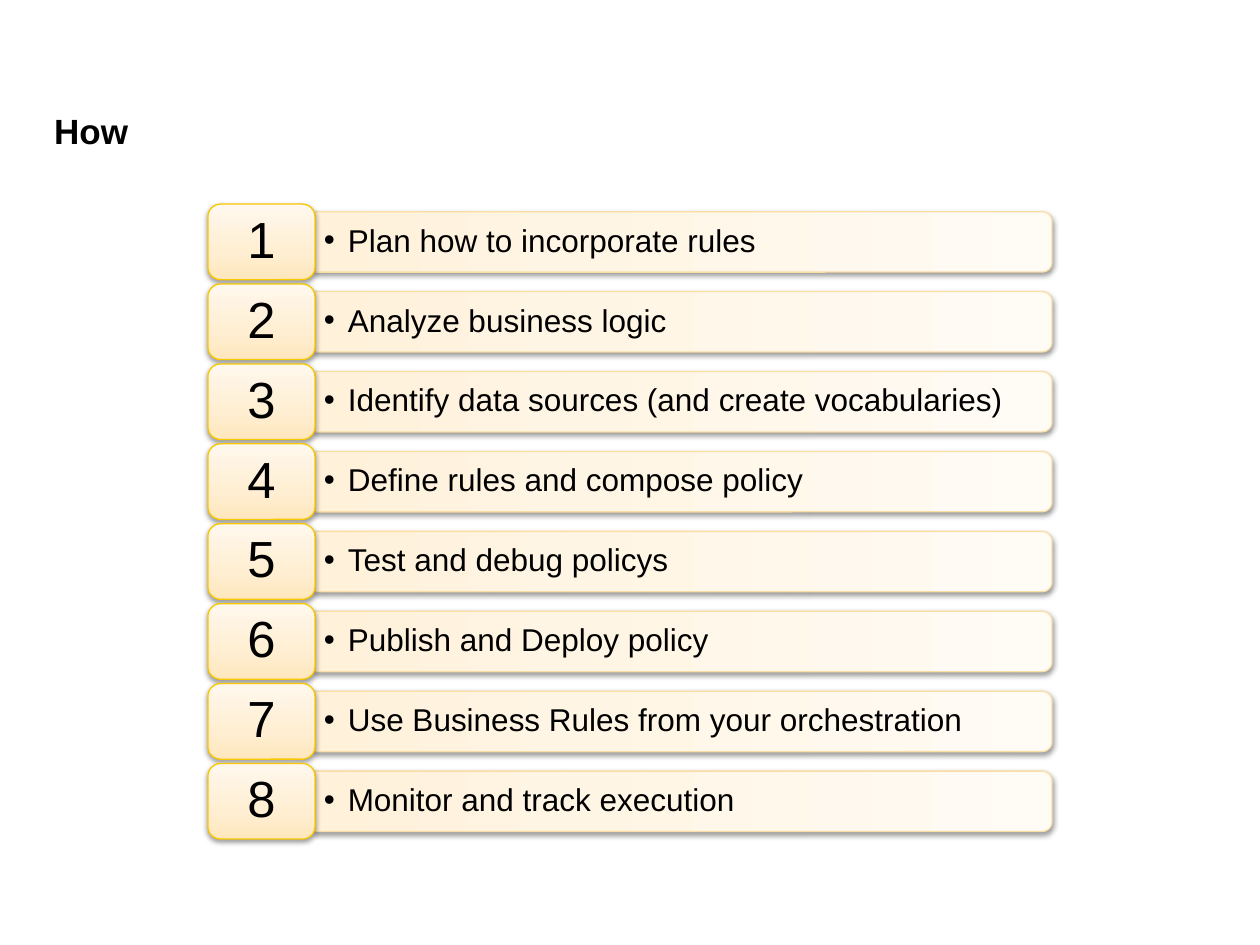
from dataclasses import dataclass

from lxml.etree import SubElement
from pptx import Presentation
from pptx.dml.color import RGBColor
from pptx.enum.shapes import MSO_SHAPE
from pptx.enum.text import MSO_ANCHOR, PP_ALIGN
from pptx.oxml import parse_xml
from pptx.oxml.ns import nsdecls, qn
from pptx.util import Inches, Pt

BLACK = RGBColor(0x00, 0x00, 0x00)
GOLD = RGBColor(0xF9, 0xC8, 0x00)
SAND = RGBColor(0xFB, 0xDE, 0xA4)
TILE_STOPS = (RGBColor(0xFF, 0xE7, 0xBD), RGBColor(0xFF, 0xEE, 0xD1), RGBColor(0xFF, 0xF8, 0xEE))
BAR_STOPS = (RGBColor(0xFF, 0xF1, 0xDA), RGBColor(0xFF, 0xF5, 0xE4), RGBColor(0xFF, 0xFB, 0xF5))
STOP_POSITIONS = (0, 35, 100)

STEPS = [
    "Plan how to incorporate rules",
    "Analyze business logic",
    "Identify data sources (and create vocabularies)",
    "Define rules and compose policy",
    "Test and debug policys",
    "Publish and Deploy policy\t",
    "Use Business Rules from your orchestration",
    "Monitor and track execution",
]
FIRST_TOP, LAST_TOP = 1.62, 6.06
PITCH = (LAST_TOP - FIRST_TOP) / (len(STEPS) - 1)
TILE_LEFT, TILE_W, TILE_H = 1.65, 0.85, 0.6
BAR_LEFT = TILE_LEFT + TILE_W
BAR_LENGTH, BAR_DEPTH = 5.85, 0.48
LABEL_W, LABEL_H = 5.82, 0.44


@dataclass
class Box:
    left: float
    top: float
    width: float
    height: float

    def lengths(self) -> tuple:
        return tuple(Inches(v) for v in (self.left, self.top, self.width, self.height))


def style_panel(s, stops: tuple, line: RGBColor) -> None:
    s.fill.gradient()
    gs = "".join(
        f'<a:gs pos="{pos * 1000}"><a:srgbClr val="{color}"/></a:gs>'
        for pos, color in zip(STOP_POSITIONS, stops)
    )
    sp_pr = s.element.spPr
    sp_pr.replace(sp_pr.find(qn("a:gradFill")), parse_xml(
        f'<a:gradFill {nsdecls("a")} rotWithShape="1"><a:gsLst>{gs}</a:gsLst>'
        '<a:lin ang="16200000" scaled="0"/></a:gradFill>'))
    s.line.color.rgb = line
    s.line.width = Pt(0.75)
    s.shadow.inherit = False
    sp_pr.find(qn("a:effectLst")).append(parse_xml(
        f'<a:outerShdw {nsdecls("a")} blurRad="{Pt(3.1)}" dist="{Pt(1.6)}" dir="5400000" '
        'rotWithShape="0"><a:srgbClr val="000000"><a:alpha val="38000"/></a:srgbClr></a:outerShdw>'))


def write_text(s, text: str, size: float, margin_x: float = 0, margin_y: float = 0,
               bold: bool = False):
    tf = s.text_frame
    tf.word_wrap = True
    tf.vertical_anchor = MSO_ANCHOR.MIDDLE
    tf.margin_left = tf.margin_right = Inches(margin_x)
    tf.margin_top = tf.margin_bottom = Inches(margin_y)
    p = tf.paragraphs[0]
    r = p.add_run()
    r.text = text
    r.font.name = "Arial"
    r.font.size = Pt(size)
    r.font.bold = bold
    r.font.color.rgb = BLACK
    return p


def set_spacing(p, after_percent: int):
    p.line_spacing = 0.9
    p_pr = p._p.get_or_add_pPr()
    after = SubElement(p_pr, qn("a:spcAft"))
    SubElement(after, qn("a:spcPct"), val=str(after_percent * 1000))
    return p_pr


def add_bar(shapes, center_y: float, text: str) -> None:
    center_x = BAR_LEFT + BAR_LENGTH / 2
    bar = Box(center_x - BAR_DEPTH / 2, center_y - BAR_LENGTH / 2, BAR_DEPTH, BAR_LENGTH)
    s = shapes.add_shape(MSO_SHAPE.ROUND_2_SAME_RECTANGLE, *bar.lengths())
    s.rotation = 90
    style_panel(s, BAR_STOPS, SAND)

    label = Box(BAR_LEFT, center_y - LABEL_H / 2, LABEL_W, LABEL_H)
    p = write_text(shapes.add_textbox(*label.lengths()), text, 18, 0.07, 0.04)
    p.level = 1
    p_pr = set_spacing(p, 15)
    p_pr.set("marL", str(Inches(0.19)))
    p_pr.set("indent", str(-Inches(0.19)))
    SubElement(p_pr, qn("a:buFont"), typeface="Arial")
    SubElement(p_pr, qn("a:buChar"), char="•")


def add_tile(shapes, top: float, number: int) -> None:
    tile = Box(TILE_LEFT, top, TILE_W, TILE_H)
    s = shapes.add_shape(MSO_SHAPE.ROUNDED_RECTANGLE, *tile.lengths())
    style_panel(s, TILE_STOPS, GOLD)
    p = write_text(s, str(number), 29, 0.12, 0.06)
    p.alignment = PP_ALIGN.CENTER
    set_spacing(p, 35)


def main() -> None:
    prs = Presentation()
    prs.slide_width, prs.slide_height = Inches(10), Inches(7.5)
    shapes = prs.slides.add_slide(prs.slide_layouts[6]).shapes
    title = Box(0.43, 0.84, 9.14, 0.39)
    write_text(shapes.add_textbox(*title.lengths()), "How", 20, bold=True)
    for i, text in enumerate(STEPS):
        top = FIRST_TOP + i * PITCH
        add_bar(shapes, top + TILE_H / 2, text)
        add_tile(shapes, top, i + 1)
    prs.save("out.pptx")


if __name__ == "__main__":
    main()
